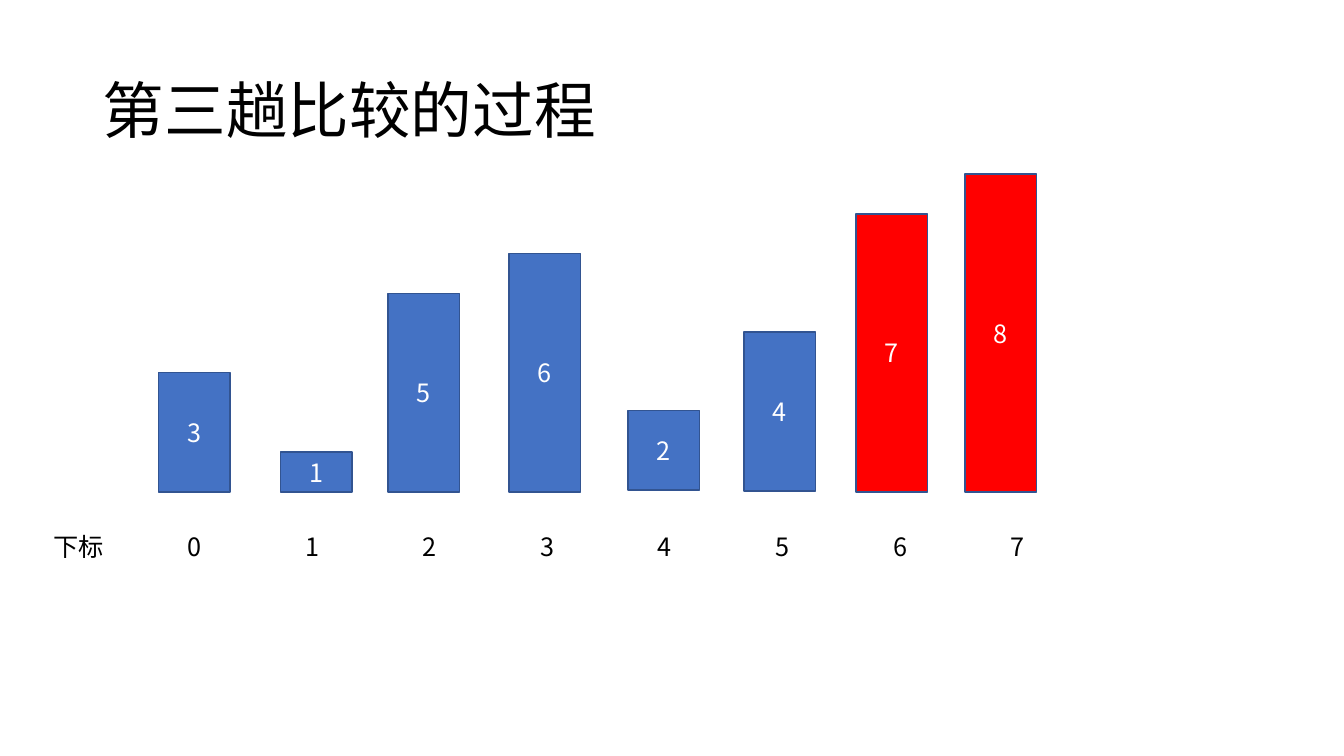
"""Build the slide showing the third pass of a bubble sort as bars with indexes."""
from dataclasses import dataclass

from lxml import etree
from pptx import Presentation
from pptx.dml.color import RGBColor
from pptx.enum.shapes import MSO_SHAPE
from pptx.enum.text import MSO_ANCHOR, MSO_AUTO_SIZE, PP_ALIGN
from pptx.oxml.ns import qn
from pptx.slide import Slide
from pptx.text.text import TextFrame
from pptx.util import Inches, Pt

RECTANGLE = MSO_SHAPE.RECTANGLE
MIDDLE = MSO_ANCHOR.MIDDLE
NO_FIT = MSO_AUTO_SIZE.NONE
GROW = MSO_AUTO_SIZE.SHAPE_TO_FIT_TEXT
LEFT, CENTER = PP_ALIGN.LEFT, PP_ALIGN.CENTER
TITLE_ONLY = 5


@dataclass(frozen=True)
class Theme:
    font: str = "Noto Sans CJK SC"
    title_size: Pt = Pt(44)
    body_size: Pt = Pt(18)
    outline_width: Pt = Pt(1)
    ink: RGBColor = RGBColor(0x00, 0x00, 0x00)
    bar_ink: RGBColor = RGBColor(0xFF, 0xFF, 0xFF)
    unsorted: RGBColor = RGBColor(0x44, 0x72, 0xC4)
    settled: RGBColor = RGBColor(0xFF, 0x00, 0x00)
    outline: RGBColor = RGBColor(0x32, 0x54, 0x91)


@dataclass(frozen=True)
class Bar:
    value: int
    left: float
    settled: bool = False
    baseline: float = 4.88


THEME = Theme()
BAR_WIDTH = 0.71
UNIT_HEIGHT = 0.394
LABEL_TOP, LABEL_HEIGHT = 5.22, 0.4
INDEX_LEFT, INDEX_STEP, INDEX_WIDTH = 1.76, 1.167, 0.34
BARS = [
    Bar(3, 1.57),
    Bar(1, 2.78),
    Bar(5, 3.85),
    Bar(6, 5.05),
    Bar(2, 6.23, baseline=4.86),
    Bar(4, 7.38, baseline=4.87),
    Bar(7, 8.49, settled=True),
    Bar(8, 9.57, settled=True),
]


def write(frame: TextFrame, text: str, size: Pt, color: RGBColor, align: PP_ALIGN) -> None:
    """Put one formatted paragraph into a text frame."""
    frame.text = text
    para = frame.paragraphs[0]
    para.alignment = align
    span = para.runs[0]
    span.font.size = size
    span.font.color.rgb = color
    span.font.name = THEME.font
    etree.SubElement(span.font._element, qn("a:ea"), typeface=THEME.font)


def add_title(page: Slide, text: str) -> None:
    """Place and format the title placeholder."""
    title = page.shapes.title
    title.left, title.top = Inches(0.92), Inches(0.4)
    title.width, title.height = Inches(11.5), Inches(1.45)
    frame = title.text_frame
    write(frame, text, THEME.title_size, THEME.ink, LEFT)
    frame.vertical_anchor = MIDDLE
    frame.auto_size = NO_FIT
    frame.paragraphs[0].line_spacing = 0.9


def add_bar(page: Slide, bar: Bar) -> None:
    """Draw a bar whose height follows its value."""
    height = bar.value * UNIT_HEIGHT
    shape = page.shapes.add_shape(
        RECTANGLE, Inches(bar.left), Inches(bar.baseline - height),
        Inches(BAR_WIDTH), Inches(height))
    shape.shadow.inherit = False
    shape.fill.solid()
    shape.fill.fore_color.rgb = THEME.settled if bar.settled else THEME.unsorted
    shape.line.color.rgb = THEME.outline
    shape.line.width = THEME.outline_width
    shape.text_frame.vertical_anchor = MIDDLE
    write(shape.text_frame, str(bar.value), THEME.body_size, THEME.bar_ink, CENTER)


def add_label(page: Slide, text: str, left: float, width: float) -> None:
    """Add one label to the index row."""
    box = page.shapes.add_textbox(
        Inches(left), Inches(LABEL_TOP), Inches(width), Inches(LABEL_HEIGHT))
    box.text_frame.word_wrap = False
    box.text_frame.auto_size = GROW
    write(box.text_frame, text, THEME.body_size, THEME.ink, LEFT)


def main() -> None:
    """Assemble and save the deck."""
    deck = Presentation()
    deck.slide_width, deck.slide_height = Inches(13.33), Inches(7.5)
    page = deck.slides.add_slide(deck.slide_layouts[TITLE_ONLY])
    add_title(page, "第三趟比较的过程")
    add_label(page, "下标", 0.43, 0.71)
    for index, bar in enumerate(BARS):
        add_bar(page, bar)
        add_label(page, str(index), INDEX_LEFT + index * INDEX_STEP, INDEX_WIDTH)
    deck.save("out.pptx")


main()
